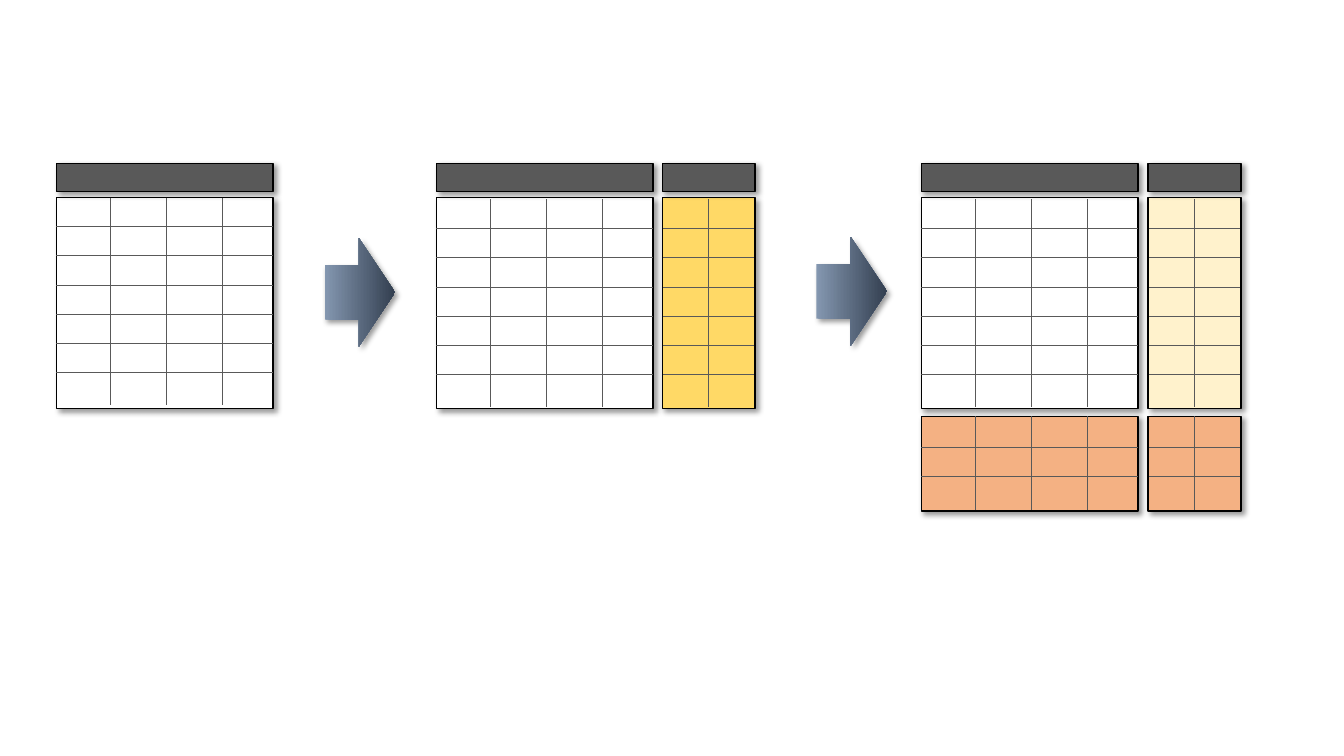
from dataclasses import dataclass

from lxml import etree
from pptx import Presentation
from pptx.dml.color import RGBColor
from pptx.enum import shapes
from pptx.oxml import ns
from pptx.util import Pt

COLORS = {
    "white": "FFFFFF",
    "header": "595959",
    "grid": "595959",
    "border": "000000",
    "shadow": "000000",
    "gold": "FFD966",
    "cream": "FFF2CC",
    "orange": "F4B183",
    "arrow_start": "8497B0",
    "arrow_end": "333F50",
}
HEADER_TOP, HEADER_HEIGHT = 116.64, 20.16
BODY_TOP, BODY_HEIGHT = 141.12, 150.48
FOOT_TOP, FOOT_HEIGHT = 297.36, 67.68
ROW_STEP, COLUMN_STEP = 20.74, 40.0
WIDE, NARROW = 154.8, 66.24
ARROW_WIDTH, ARROW_HEIGHT = 50.4, 77.76


@dataclass(frozen=True)
class Columns:
    width: float
    count: int
    first: float
    inset: float


@dataclass(frozen=True)
class Block:
    left: float
    columns: Columns
    color: str
    top: float = BODY_TOP
    height: float = BODY_HEIGHT
    rows: int = 7
    drop: float = 1.4
    header: bool = True


@dataclass(frozen=True)
class Arrow:
    left: float
    top: float


FOUR = Columns(WIDE, 4, 38.3, 0)
TWO = Columns(NARROW, 2, 33.2, 0.7)
FOOT = dict(top=FOOT_TOP, height=FOOT_HEIGHT, rows=3, drop=0, header=False)

BLOCKS = [
    Block(40.32, FOUR, "white", drop=0),
    Block(311.76, FOUR, "white"),
    Block(473.04, TWO, "gold"),
    Block(658.08, FOUR, "white"),
    Block(820.08, TWO, "cream"),
    Block(658.08, FOUR, "orange", **FOOT),
    Block(820.08, TWO, "orange", **FOOT),
]
ARROWS = [Arrow(231.84, 169.92), Arrow(583.2, 169.2)]


def rgb(name: str) -> RGBColor:
    return RGBColor.from_string(COLORS[name])


def add_shadow(sp) -> None:
    sp.shadow.inherit = False
    effects = sp._element.spPr.find(ns.qn("a:effectLst"))
    outer = etree.SubElement(effects, ns.qn("a:outerShdw"), blurRad=str(Pt(4)),
                             dist=str(Pt(3)), dir="2700000", algn="tl", rotWithShape="0")
    color = etree.SubElement(outer, ns.qn("a:srgbClr"), val=COLORS["shadow"])
    etree.SubElement(color, ns.qn("a:alpha"), val="40000")


def add_box(s, left: float, top: float, width: float, height: float, color: str) -> None:
    sp = s.shapes.add_shape(shapes.MSO_SHAPE.RECTANGLE,
                            Pt(left), Pt(top), Pt(width), Pt(height))
    sp.fill.solid()
    sp.fill.fore_color.rgb = rgb(color)
    sp.line.color.rgb = rgb("border")
    sp.line.width = Pt(1)
    add_shadow(sp)


def add_block(s, block: Block) -> None:
    width = block.columns.width
    add_box(s, block.left, block.top, width, block.height, block.color)
    if block.header:
        add_box(s, block.left, HEADER_TOP, width, HEADER_HEIGHT, "header")


def add_arrow(s, arrow: Arrow) -> None:
    sp = s.shapes.add_shape(shapes.MSO_SHAPE.RIGHT_ARROW, Pt(arrow.left), Pt(arrow.top),
                            Pt(ARROW_WIDTH), Pt(ARROW_HEIGHT))
    sp.adjustments[0] = 0.5
    sp.adjustments[1] = 0.514
    sp.fill.gradient()
    sp.fill.gradient_angle = 0
    for stop, color in zip(sp.fill.gradient_stops, ("arrow_start", "arrow_end")):
        stop.color.rgb = rgb(color)
    sp.line.fill.background()
    add_shadow(sp)


def add_line(s, x1: float, y1: float, x2: float, y2: float) -> None:
    line = s.shapes.add_connector(shapes.MSO_CONNECTOR.STRAIGHT,
                                  Pt(x1), Pt(y1), Pt(x2), Pt(y2))
    line.line.color.rgb = rgb("grid")
    line.line.width = Pt(0.5)
    etree.SubElement(line._element.spPr, ns.qn("a:effectLst"))


def add_grid(s, block: Block) -> None:
    columns = block.columns
    left = block.left + columns.inset
    right = block.left + columns.width - columns.inset
    first_row = block.top + (22.32 if block.drop or not block.header else 20.88)
    for row in range(block.rows - 1):
        y = first_row + row * ROW_STEP
        add_line(s, left, y, right, y)
    top = block.top + block.drop
    bottom = top + (148.32 if block.header else 66.96)
    for column in range(columns.count - 1):
        x = block.left + columns.first + column * COLUMN_STEP
        add_line(s, x, top, x, bottom)


prs = Presentation()
prs.slide_width, prs.slide_height = Pt(960), Pt(540)
s = prs.slides.add_slide(prs.slide_layouts[6])
for block in BLOCKS:
    add_block(s, block)
for arrow in ARROWS:
    add_arrow(s, arrow)
for block in BLOCKS:
    add_grid(s, block)
prs.save("out.pptx")
